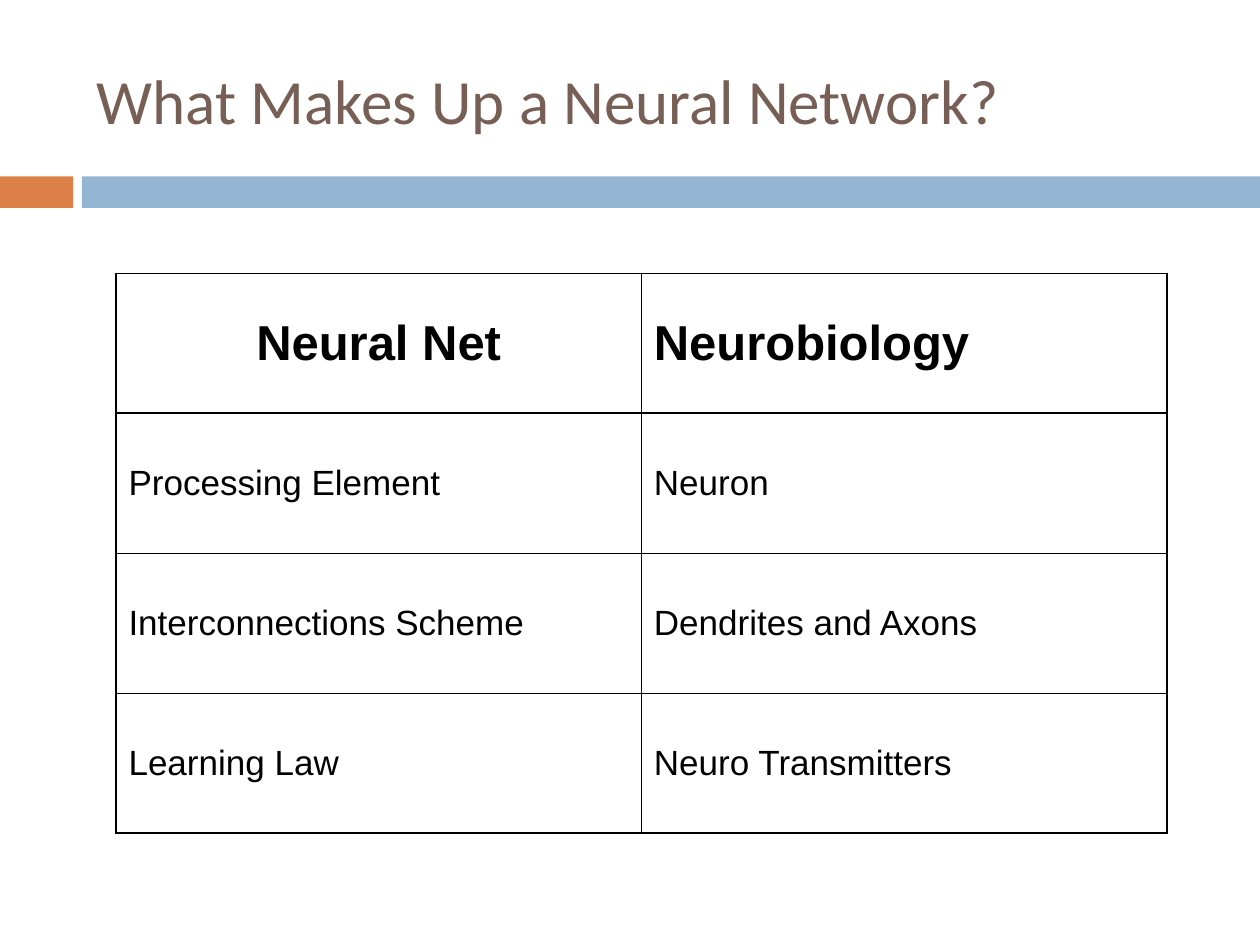
from lxml.etree import SubElement as Sub
from pptx import Presentation
from pptx.dml.color import RGBColor
from pptx.enum.shapes import MSO_SHAPE as Shape
from pptx.enum.text import MSO_ANCHOR as Anchor, PP_ALIGN as Align
from pptx.oxml.ns import qn
from pptx.util import Inches, Pt


def color(code):
    return RGBColor.from_string(code)


def write(frame, text, font="Arial", size=20, bold=False, ink="000000",
          align=Align.LEFT):
    frame.word_wrap = True
    par = frame.paragraphs[0]
    par.alignment = align
    run = par.add_run()
    run.text = text
    run.font.name = font
    run.font.size = Pt(size)
    run.font.bold = bold
    run.font.color.rgb = color(ink)


deck = Presentation()
deck.slide_width, deck.slide_height = Inches(10), Inches(7.5)
slide = deck.slides.add_slide(deck.slide_layouts[6])

# Bars below the title
for left, width, fill in [(0, 0.58, "DD8047"), (0.65, 9.35, "94B6D2")]:
    bar = slide.shapes.add_shape(Shape.RECTANGLE, Inches(left), Inches(1.4),
                                 Inches(width), Inches(0.25))
    bar.shadow.inherit = False
    bar.fill.solid()
    bar.fill.fore_color.rgb = color(fill)
    bar.line.fill.background()

title = slide.shapes.add_textbox(Inches(0.67), Inches(0.25),
                                 Inches(8.92), Inches(1.08))
title.text_frame.vertical_anchor = Anchor.MIDDLE
write(title.text_frame, "What Makes Up a Neural Network?",
      font="Calibri", size=36, ink="775F55")

# Comparison table
rows = [
    ("Neural Net", "Neurobiology"),
    ("Processing Element", "Neuron"),
    ("Interconnections Scheme", "Dendrites and Axons"),
    ("Learning Law", "Neuro Transmitters"),
]
thick, thin = Pt(1.08), Pt(0.45)
last = len(rows) - 1
table = slide.shapes.add_table(len(rows), 2, Inches(0.92), Inches(2.17),
                               Inches(8.34), Inches(4.44)).table
table.first_row = table.horz_banding = False
for col in table.columns:
    col.width = Inches(4.17)

for r, row in enumerate(rows):
    table.rows[r].height = Inches(1.11)
    for c, text in enumerate(row):
        cell = table.cell(r, c)
        cell.vertical_anchor = Anchor.MIDDLE
        head = r == 0
        write(cell.text_frame, text, size=28 if head else 20, bold=head,
              align=Align.CENTER if head and c == 0 else Align.LEFT)
        # Thick on the outside and under the header, thin elsewhere
        sides = {"L": c == 0, "R": c == 1, "T": r < 2, "B": r in (0, last)}
        props = cell._tc.get_or_add_tcPr()
        for side, heavy in sides.items():
            line = Sub(props, qn(f"a:ln{side}"), w=str(thick if heavy else thin))
            Sub(Sub(line, qn("a:solidFill")), qn("a:srgbClr"), val="000000")
        cell.fill.background()

deck.save("out.pptx")
